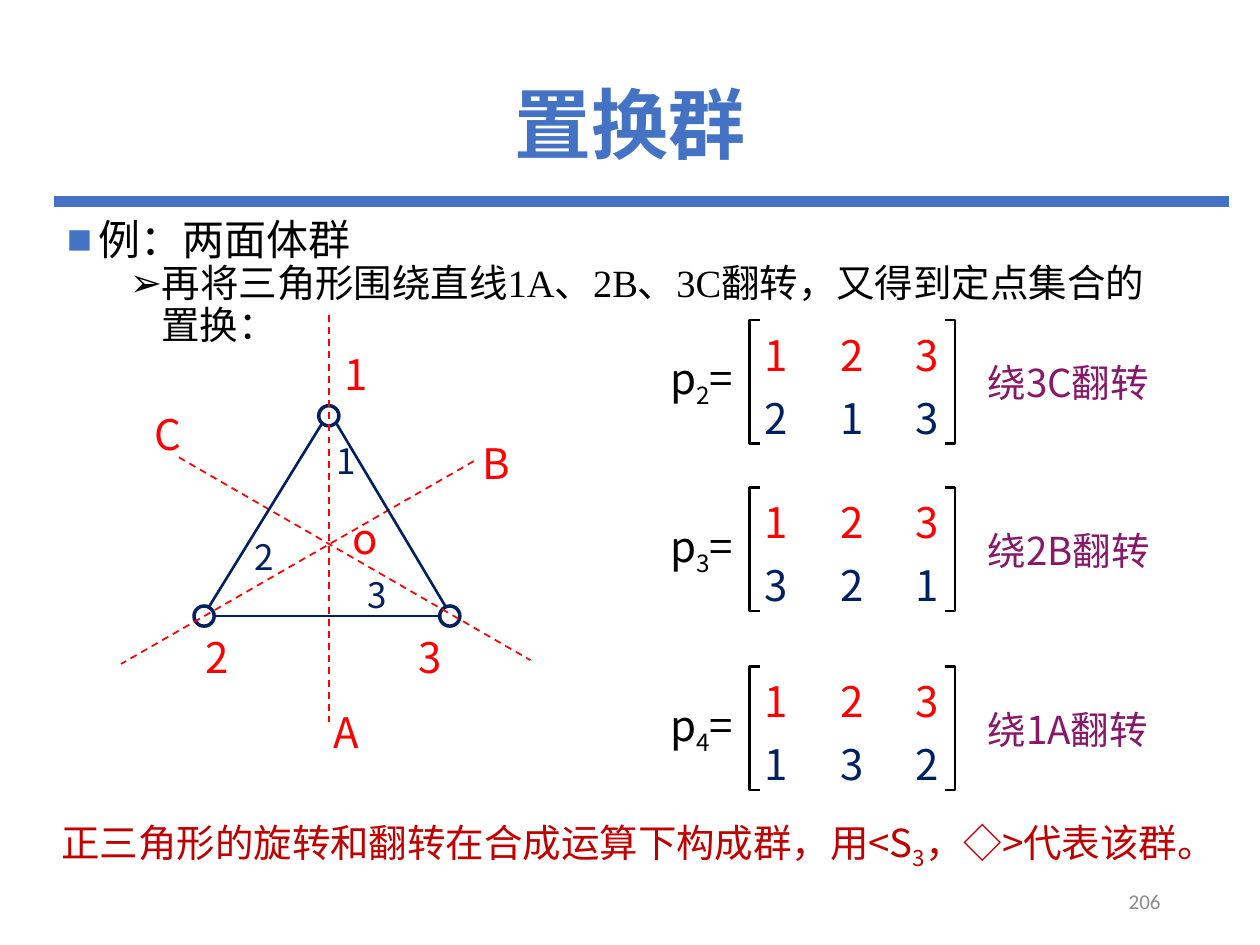
import pptx
import pptx.util
import pptx.dml.color
import pptx.enum.dml
import pptx.enum.shapes
import pptx.enum.text
import pptx.oxml.ns
from lxml import etree

Inches = pptx.util.Inches
ALIGN = pptx.enum.text.PP_ALIGN
SHAPE = pptx.enum.shapes.MSO_SHAPE
SANS = "Noto Sans CJK SC"
BLUE, NAVY, RED, BLACK = "4472C4", "002060", "FF0000", "000000"


def rgb(value):
    return pptx.dml.color.RGBColor.from_string(value)


def add_child(parent, tag, **attributes):
    return etree.SubElement(parent, pptx.oxml.ns.qn(tag), attributes)


def style_span(span, size, color, font=SANS, bold=False):
    span.font.size = pptx.util.Pt(size)
    span.font.name = font
    span.font.bold = bold
    span.font.color.rgb = rgb(color)
    add_child(span.font._element, "a:ea", typeface=SANS)


def place(shape, left, top, width, height):
    shape.left, shape.top = Inches(left), Inches(top)
    shape.width, shape.height = Inches(width), Inches(height)


def add_text(page, parts, bounds, size, color, align=ALIGN.LEFT, font=SANS, spacing=None):
    """Add a text box whose every second part is a subscript."""
    box = page.shapes.add_textbox(*map(Inches, bounds))
    frame = box.text_frame
    frame.word_wrap = True
    frame.vertical_anchor = pptx.enum.text.MSO_ANCHOR.MIDDLE
    para = frame.paragraphs[0]
    para.alignment = align
    para.line_spacing = spacing
    for index, part in enumerate(parts):
        span = para.add_run()
        span.text = part
        style_span(span, size, color, font)
        if index % 2:
            span.font._element.set("baseline", "-25000")


def add_line(page, start, end, color, width, dashed=False):
    line = page.shapes.add_connector(
        pptx.enum.shapes.MSO_CONNECTOR.STRAIGHT, *map(Inches, start + end))
    line.line.color.rgb = rgb(color)
    line.line.width = pptx.util.Pt(width)
    if dashed:
        line.line.dash_style = pptx.enum.dml.MSO_LINE.DASH
    add_child(line._element.spPr, "a:effectLst")


def add_outline(page, kind, bounds, color, width):
    shape = page.shapes.add_shape(kind, *map(Inches, bounds))
    shape.shadow.inherit = False
    shape.fill.background()
    shape.line.color.rgb = rgb(color)
    shape.line.width = pptx.util.Pt(width)
    return shape


def fill_title(page):
    title = page.shapes.title
    place(title, 0.69, 0.4, 8.62, 1.24)
    title.text_frame.text = "置换群"
    title.text_frame.vertical_anchor = pptx.enum.text.MSO_ANCHOR.MIDDLE
    para = title.text_frame.paragraphs[0]
    para.alignment = ALIGN.CENTER
    para.line_spacing = 0.9
    style_span(para.runs[0], 44, BLUE, bold=True)


def fill_body(page):
    body = page.placeholders[1]
    place(body, 0.43, 1.69, 9, 1.42)
    items = [("例：两面体群", 24, "■", BLUE, 0.25),
             ("再将三角形围绕直线1A、2B、3C翻转，又得到定点集合的置换：", 22, "➢", BLACK, 0.75)]
    body.text_frame.text = "\n".join(item[0] for item in items)
    for level, (para, item) in enumerate(zip(body.text_frame.paragraphs, items)):
        _, size, bullet, bullet_color, indent = item
        para.level = level
        para.line_spacing = 0.9
        para.space_before = pptx.util.Pt(0)
        properties = para._p.get_or_add_pPr()
        properties.set("marL", str(Inches(indent)))
        properties.set("indent", str(Inches(-0.25)))
        add_child(add_child(properties, "a:buClr"), "a:srgbClr", val=bullet_color)
        add_child(properties, "a:buFont", typeface="Arial")
        add_child(properties, "a:buChar", char=bullet)
        style_span(para.runs[0], size, BLACK, "Times New Roman")


def add_matrix(page, top, images):
    table = page.shapes.add_table(
        2, 3, Inches(5.86), Inches(top), Inches(1.8), Inches(0.9)).table
    table.first_row = table.horz_banding = False
    for row, (values, color) in enumerate((("123", RED), (images, NAVY))):
        for column, value in enumerate(values):
            cell = table.cell(row, column)
            cell.fill.background()
            cell.vertical_anchor = pptx.enum.text.MSO_ANCHOR.MIDDLE
            cell.text_frame.text = value
            para = cell.text_frame.paragraphs[0]
            para.alignment = ALIGN.CENTER
            style_span(para.runs[0], 24, color)
    for left in (5.95, 7.5):
        bracket = add_outline(
            page, SHAPE.LEFT_BRACKET, (left, top + 0.03, 0.08, 0.98), BLACK, 1.5)
        bracket.adjustments[0] = 0
    bracket._element.spPr.xfrm.set("flipH", "1")


def add_permutation(page, top, index, images, axis):
    add_matrix(page, top, images)
    add_text(page, ("p", index, "="), (5.06, top + 0.24, 1.02, 0.55), 24, BLACK, ALIGN.CENTER)
    add_text(page, (f"绕{axis}翻转",), (7.74, top + 0.25, 1.57, 0.55), 22, "87196A")


def add_triangle(page):
    for left, top in ((2.53, 3.22), (3.49, 4.81), (1.54, 4.81)):
        add_outline(page, SHAPE.OVAL, (left, top, 0.16, 0.16), NAVY, 2)
    axes = [((2.61, 2.5), (2.61, 5.73)),
            ((3.76, 3.66), (0.96, 5.27)),
            ((1.42, 3.63), (4.21, 5.24))]
    for start, end in axes:
        add_line(page, start, end, RED, 1, dashed=True)
    sides = [((1.65, 4.83), (2.55, 3.37)),
             ((3.54, 4.82), (2.67, 3.36)),
             ((1.69, 4.89), (3.49, 4.89))]
    for start, end in sides:
        add_line(page, start, end, NAVY, 1.5)
    outer = [("1", 2.47, 2.69), ("3", 3.06, 4.94), ("2", 1.37, 4.94), ("A", 2.39, 5.53),
             ("B", 3.58, 3.4), ("C", 0.98, 3.17), ("o", 2.54, 3.99)]
    inner = [("1", 2.39, 3.38), ("3", 2.64, 4.44), ("2", 1.74, 4.14)]
    for labels, size, color in ((outer, 24, RED), (inner, 20, NAVY)):
        for label, left, top in labels:
            add_text(page, (label,), (left, top, 0.71, 0.55), size, color, ALIGN.CENTER)


def main():
    deck = pptx.Presentation()
    deck.slide_width, deck.slide_height = Inches(10), Inches(7.5)
    page = deck.slides.add_slide(deck.slide_layouts[1])
    add_line(page, (0.43, 1.6), (9.75, 1.6), BLUE, 6)
    fill_title(page)
    fill_body(page)
    add_text(page, ("正三角形的旋转和翻转在合成运算下构成群，用<S", "3", "，◇>代表该群。"),
             (0.39, 6.27, 9.25, 0.79), 22, "C00000", spacing=1.2)
    add_text(page, ("206",), (7.06, 6.95, 2.25, 0.4), 12, "8C8C8C", ALIGN.RIGHT, "Calibri")
    for top, index, images, axis in ((2.51, "2", "213", "3C"),
                                     (3.84, "3", "321", "2B"),
                                     (5.26, "4", "132", "1A")):
        add_permutation(page, top, index, images, axis)
    add_triangle(page)
    deck.save("out.pptx")


if __name__ == "__main__":
    main()
